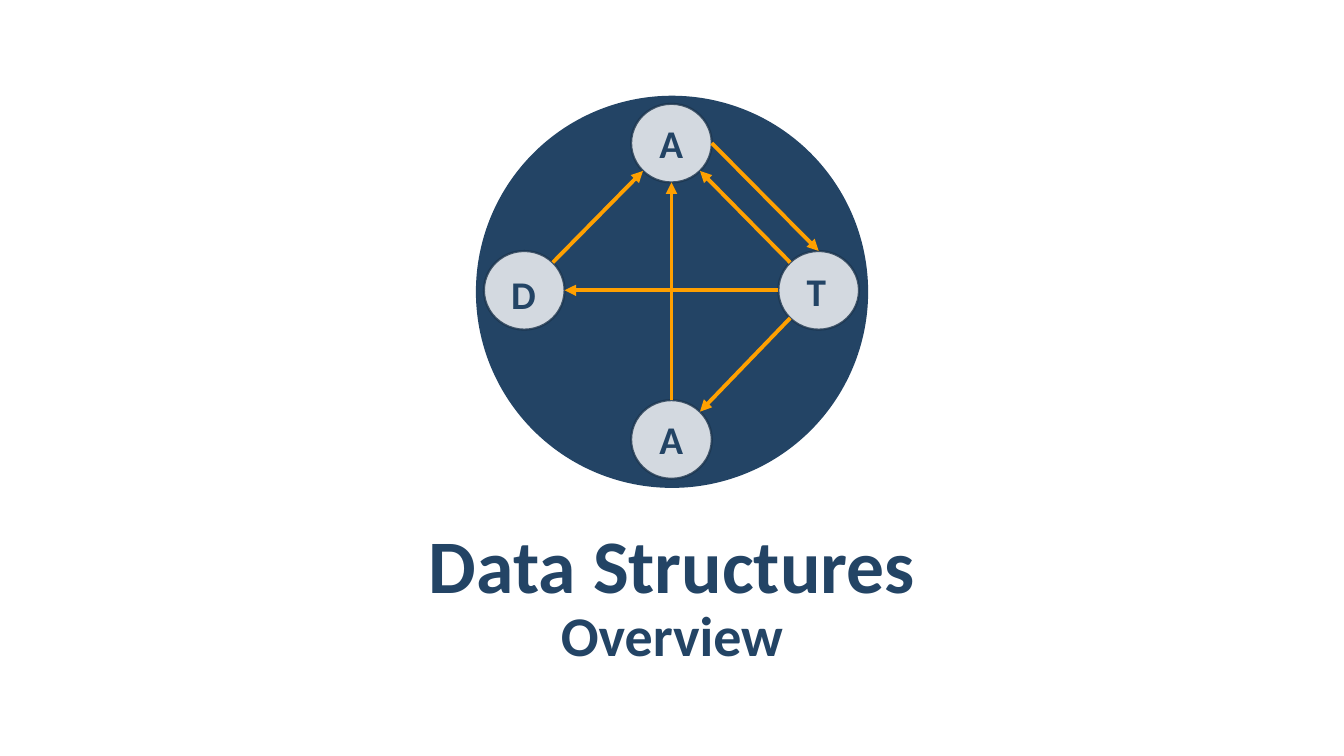
from math import cos, radians, sin

from lxml.etree import SubElement
from pptx import Presentation
from pptx.dml.color import RGBColor
from pptx.enum.shapes import MSO_CONNECTOR, MSO_SHAPE
from pptx.enum.text import MSO_ANCHOR, MSO_AUTO_SIZE, PP_ALIGN
from pptx.oxml.ns import qn
from pptx.util import Inches, Pt

COLORS = {name: RGBColor.from_string(code) for name, code in {
    "navy": "234465", "outline": "1A334C", "white": "FFFFFF", "orange": "FFA000",
}.items()}
RADIUS_X, RADIUS_Y = 0.4, 0.39

# Node: centre x, centre y, letter, letter box left, letter box top
NODES = {
    "top": (6.66, 1.42, "A", 6.38, 1.02),
    "left": (5.2, 2.88, "D", 4.91, 2.52),
    "right": (8.12, 2.88, "T", 7.84, 2.49),
    "bottom": (6.66, 4.36, "A", 6.38, 3.95),
}
# Edge: start node, angle on its rim, end node, angle on its rim (clockwise from the right)
EDGES = [
    ("left", -45, "top", 135),
    ("top", 0, "right", -90),
    ("right", 135, "bottom", -45),
    ("bottom", -90, "top", 90),
    ("right", 180, "left", 0),
    ("right", -135, "top", 45),
]


def rim_point(node, angle):
    center_x, center_y = NODES[node][:2]
    return (Inches(center_x + RADIUS_X * cos(radians(angle))),
            Inches(center_y + RADIUS_Y * sin(radians(angle))))


def format_text(box, text, size, line_spacing):
    """Fill a text shape with one bold navy paragraph and return the paragraph."""
    box.text_frame.word_wrap = True
    para = box.text_frame.paragraphs[0]
    para.text = text
    para.line_spacing = line_spacing
    para.font.name = "Calibri"
    para.font.size = Pt(size)
    para.font.bold = True
    para.font.color.rgb = COLORS["navy"]
    return para


deck = Presentation()
deck.slide_width, deck.slide_height = Inches(13.33), Inches(7.5)
page = deck.slides.add_slide(deck.slide_layouts[5])
shapes = page.shapes

disc = shapes.add_shape(MSO_SHAPE.OVAL, Inches(4.72), Inches(0.95), Inches(3.89), Inches(3.89))
disc.shadow.inherit = False
disc.fill.solid()
disc.fill.fore_color.rgb = COLORS["navy"]
disc.line.fill.background()

# Title and subtitle
title = shapes.title
subtitle = shapes.add_textbox(0, 0, 0, 0)
for box, text, size, top, height in [
    (title, "Data Structures", 54, 5.15, 0.84),
    (subtitle, "Overview", 40, 6, 0.55),
]:
    box.left, box.top = Inches(0.67), Inches(top)
    box.width, box.height = Inches(11.99), Inches(height)
    para = format_text(box, text, size, 1.05)
    para.alignment = PP_ALIGN.CENTER
    para.space_before = para.space_after = Pt(6)
    frame = box.text_frame
    frame.auto_size = MSO_AUTO_SIZE.NONE
    frame.vertical_anchor = MSO_ANCHOR.MIDDLE
    frame.margin_left = frame.margin_right = Inches(0.12)
    frame.margin_top = frame.margin_bottom = Inches(0.04)

# Graph nodes with their letters
for center_x, center_y, letter, letter_left, letter_top in NODES.values():
    node = shapes.add_shape(
        MSO_SHAPE.OVAL, Inches(center_x - RADIUS_X), Inches(center_y - RADIUS_Y),
        Inches(2 * RADIUS_X), Inches(2 * RADIUS_Y))
    node.shadow.inherit = False
    node.fill.solid()
    node.fill.fore_color.rgb = COLORS["white"]
    node.line.color.rgb = COLORS["outline"]
    node.line.width = Pt(1.5)
    for color in node._element.spPr.iter(qn("a:srgbClr")):
        SubElement(color, qn("a:alpha"), val="80000")

    label = shapes.add_textbox(
        Inches(letter_left), Inches(letter_top), Inches(0.56), Inches(0.73))
    format_text(label, letter, 28, 1.1)
    frame = label.text_frame
    frame.auto_size = MSO_AUTO_SIZE.SHAPE_TO_FIT_TEXT
    frame.margin_left = frame.margin_right = Inches(0.16)
    frame.margin_top = frame.margin_bottom = Inches(0.12)

# Directed edges
for start, start_angle, end, end_angle in EDGES:
    arrow = shapes.add_connector(
        MSO_CONNECTOR.STRAIGHT, *rim_point(start, start_angle), *rim_point(end, end_angle))
    arrow.line.color.rgb = COLORS["orange"]
    arrow.line.width = Pt(2.75)
    SubElement(arrow.line._get_or_add_ln(), qn("a:tailEnd"), type="triangle")
    SubElement(arrow._element.spPr, qn("a:effectLst"))

deck.save("out.pptx")
